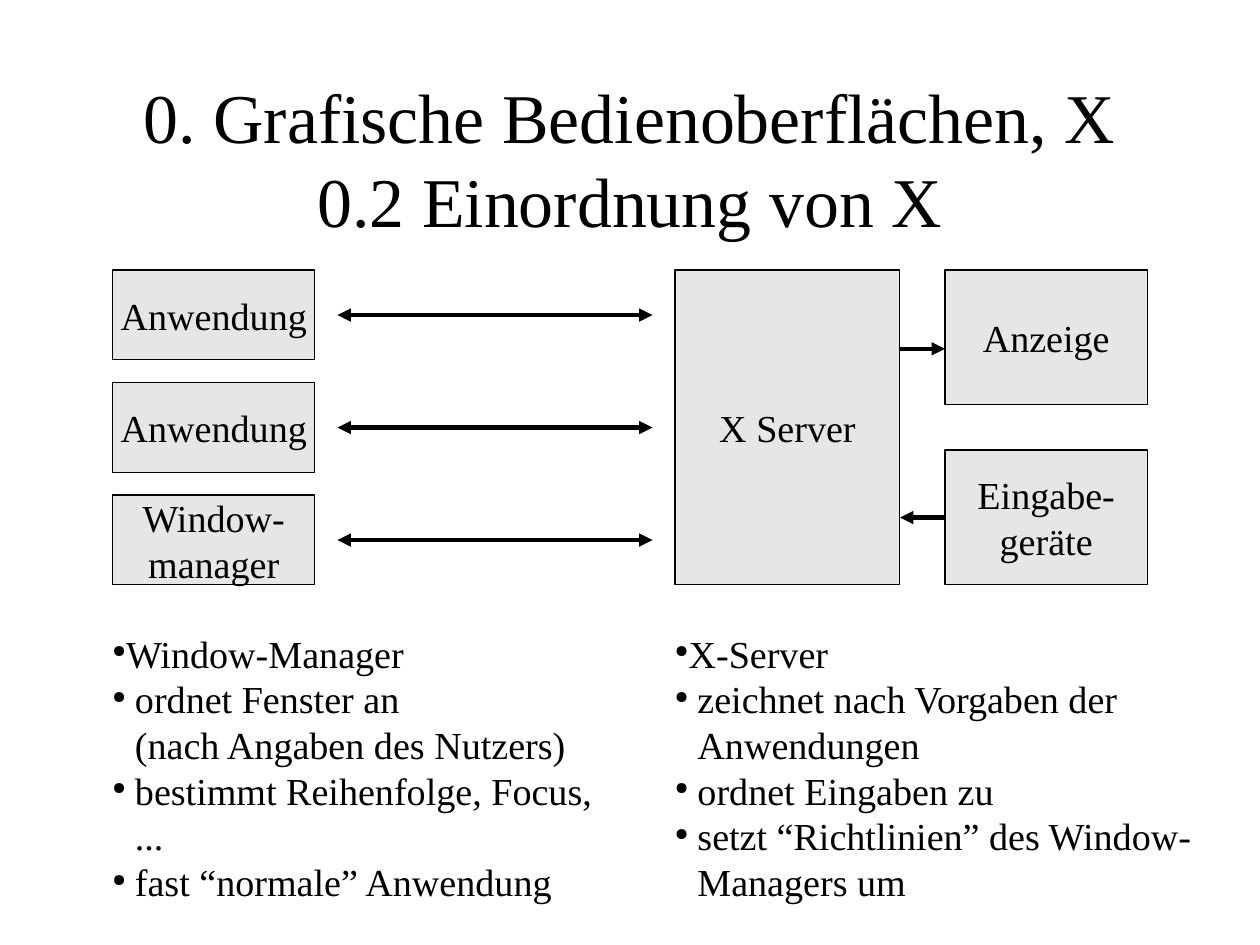
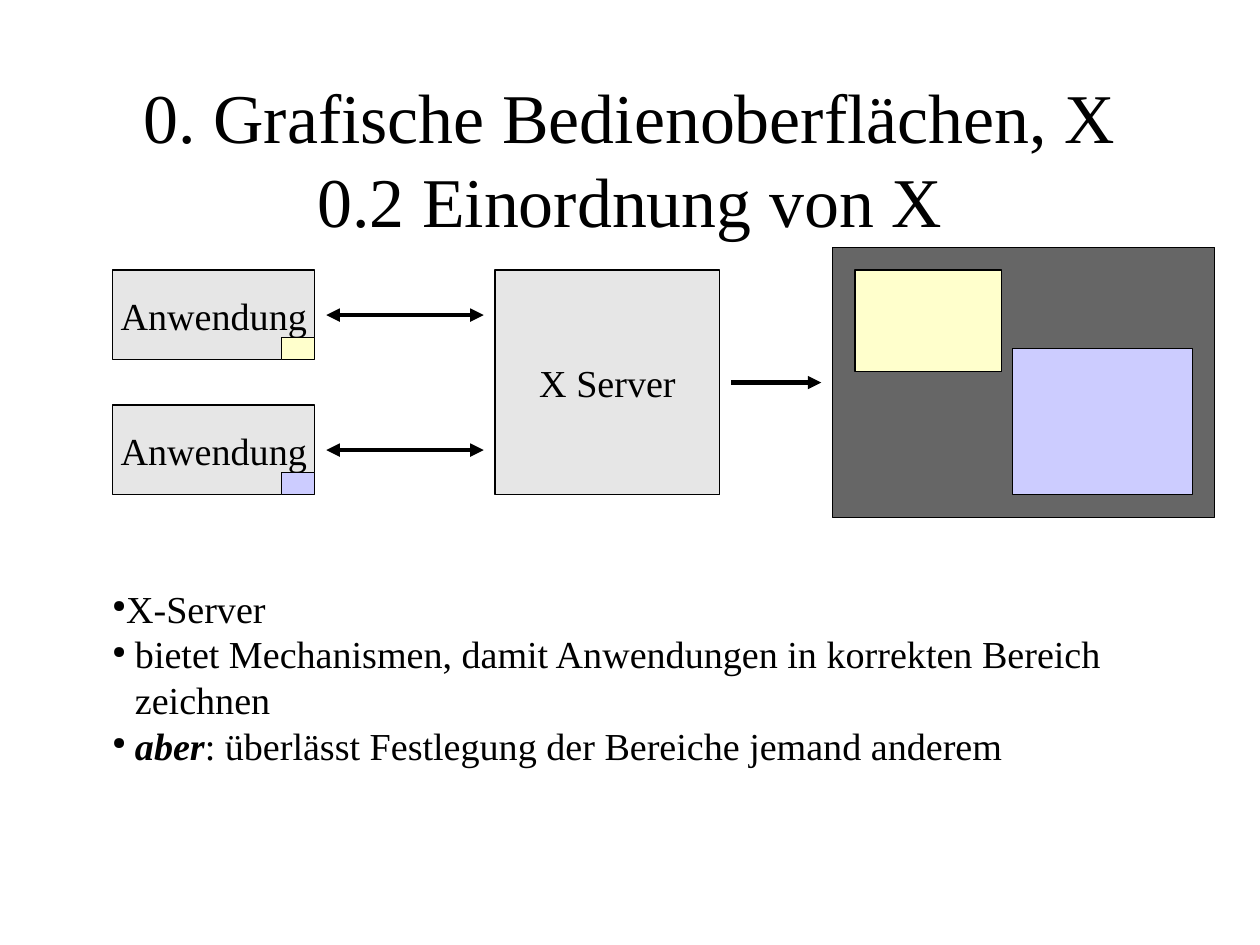
from lxml import etree
from pptx import Presentation
from pptx.dml.color import RGBColor
from pptx.enum import shapes, text
from pptx.oxml.ns import qn
from pptx.util import Pt

PX = 18000  # EMU per px, half a millimetre
FONT = "Times New Roman"
BLACK, WHITE, GREY, DARK = "000000", "FFFFFF", "E6E6E6", "666666"
YELLOW, BLUE = "FFFFCC", "CCCCFF"
TITLE = "0. Grafische Bedienoberflächen, X\n0.2 Einordnung von X"
RIGHT, LEFT = 3, 1
APP_WIDTH, APP_HEIGHT = 90, 40


def px(*lengths):
    return [length * PX for length in lengths]


def color(value):
    return RGBColor.from_string(value)


def add_element(parent, tag, **attributes):
    element = etree.SubElement(parent, qn(tag))
    for name, value in attributes.items():
        element.set(name, str(value))
    return element


def add_bullet(paragraph, indent):
    properties = paragraph._p.get_or_add_pPr()
    properties.set("marL", str(indent * PX))
    properties.set("indent", str(-indent * PX))
    add_element(add_element(properties, "a:buClr"), "a:srgbClr", val=BLACK)
    add_element(properties, "a:buSzPct", val=45000)
    add_element(properties, "a:buChar", char="●")


def write(shape, paragraphs, size=24, align="CENTER", anchor="MIDDLE", bullets=False):
    """Each paragraph is a string or a list of (words, emphasised) runs."""
    frame = shape.text_frame
    frame.word_wrap = True
    frame.margin_left = frame.margin_right = frame.margin_top = frame.margin_bottom = 0
    frame.vertical_anchor = getattr(text.MSO_ANCHOR, anchor)
    for index, content in enumerate(paragraphs):
        paragraph = frame.add_paragraph() if index else frame.paragraphs[0]
        paragraph.alignment = getattr(text.PP_ALIGN, align)
        if bullets:
            add_bullet(paragraph, 10 if index else 0)
        runs = [(content, False)] if isinstance(content, str) else content
        for words, emphasised in runs:
            for number, line in enumerate(words.split("\n")):
                if number:
                    paragraph.add_line_break()
                run = paragraph.add_run()
                run.text = line
                font = run.font
                font.name, font.size = FONT, Pt(size)
                font.bold = font.italic = emphasised
                font.color.rgb = color(BLACK)


def add_box(parent, left, top, width, height, label=None, fill=GREY):
    shape = parent.shapes.add_shape(
        shapes.MSO_SHAPE.RECTANGLE, *px(left, top, width, height))
    shape.shadow.inherit = False
    shape.fill.solid()
    shape.fill.fore_color.rgb = color(fill)
    shape.line.color.rgb = color(BLACK)
    shape.line.width = 0
    if label:
        write(shape, [label])
    return shape


def add_arrow(slide, start, end, both=False):
    arrow = slide.shapes.add_connector(
        shapes.MSO_CONNECTOR.STRAIGHT, *px(*start, *end))
    arrow.line.color.rgb = color(BLACK)
    arrow.line.width = Pt(2.83)
    line = arrow.line._get_or_add_ln()
    if both:
        add_element(line, "a:headEnd", type="triangle")
    add_element(line, "a:tailEnd", type="triangle")
    add_element(arrow._element.spPr, "a:effectLst")
    return arrow


def add_text(slide, left, top, width, height, paragraphs, **format):
    write(slide.shapes.add_textbox(*px(left, top, width, height)), paragraphs, **format)


def add_bullets(slide, left, top, width, height, paragraphs):
    add_text(slide, left, top, width, height, paragraphs,
             align="LEFT", anchor="TOP", bullets=True)


def add_applications(slide, left, top, pitch, labels, arrow_from, arrow_to):
    """Stack application boxes, each with a two-way arrow beside it."""
    for index, label in enumerate(labels):
        y = top + index * pitch
        add_box(slide, left, y, APP_WIDTH, APP_HEIGHT, label)
        middle = y + APP_HEIGHT // 2
        add_arrow(slide, (left + arrow_from, middle), (left + arrow_to, middle), both=True)


def add_devices(slide, left, top, gap):
    """Display and input boxes, with arrows across the gap on their left."""
    width, height, pitch = 90, 60, 80
    add_box(slide, left, top, width, height, "Anzeige")
    inputs = add_box(slide, left, top + pitch, width, height, "Eingabe-\ngeräte")
    add_arrow(slide, (left - gap, top + 35), (left, top + 35))
    middle = top + pitch + height // 2
    arrow = add_arrow(slide, (left, middle), (left - gap, middle))
    arrow.begin_connect(inputs, LEFT)


def add_screen(slide, left, top, width, height):
    """A screen that shows one window for each application."""
    group = slide.shapes.add_group_shape()
    add_box(group, left, top, width, height, fill=DARK)
    add_box(group, left + 10, top + 10, 65, 45, fill=YELLOW)
    add_box(group, left + 80, top + 45, 80, 65, fill=BLUE)


def add_slide(presentation):
    slide = presentation.slides.add_slide(presentation.slide_layouts[6])
    slide.background.fill.solid()
    slide.background.fill.fore_color.rgb = color(WHITE)
    add_text(slide, 41, 35, 478, 70, [TITLE], size=44)
    return slide


def build_overview(presentation):
    slide = add_slide(presentation)
    add_applications(slide, 50, 120, 50,
                     ["Anwendung", "Anwendung", "Window-\nmanager"], 100, 240)
    add_box(slide, 300, 120, 100, 140, "X Server")
    add_devices(slide, 420, 120, 20)
    add_bullets(slide, 50, 280, 233, 112, [
        "Window-Manager",
        "ordnet Fenster an\n(nach Angaben des Nutzers)",
        "bestimmt Reihenfolge, Focus,\n...",
        "fast “normale” Anwendung",
    ])
    add_bullets(slide, 300, 280, 250, 112, [
        "X-Server",
        "zeichnet nach Vorgaben der\nAnwendungen",
        "ordnet Eingaben zu",
        "setzt “Richtlinien” des Window-\nManagers um",
    ])


def build_drawing_areas(presentation):
    slide = add_slide(presentation)
    left, top, pitch = 50, 120, 60
    add_applications(slide, left, top, pitch, ["Anwendung"] * 2, 95, 165)
    for index, fill in enumerate([YELLOW, BLUE]):
        add_box(slide, left + APP_WIDTH - 15, top + index * pitch + APP_HEIGHT - 10,
                15, 10, fill=fill)
    add_box(slide, 220, top, 100, 100, "X Server")
    add_arrow(slide, (325, 170), (365, 170))
    add_screen(slide, 370, 110, 170, 120)
    add_bullets(slide, left, 260, 460, 90, [
        "X-Server",
        "bietet Mechanismen, damit Anwendungen in korrekten Bereich\nzeichnen",
        [("aber", True), (": überlässt Festlegung der Bereiche jemand anderem", False)],
    ])


def main():
    presentation = Presentation()
    presentation.slide_width, presentation.slide_height = px(560, 420)
    build_overview(presentation)
    build_drawing_areas(presentation)
    presentation.save("out.pptx")


if __name__ == "__main__":
    main()
